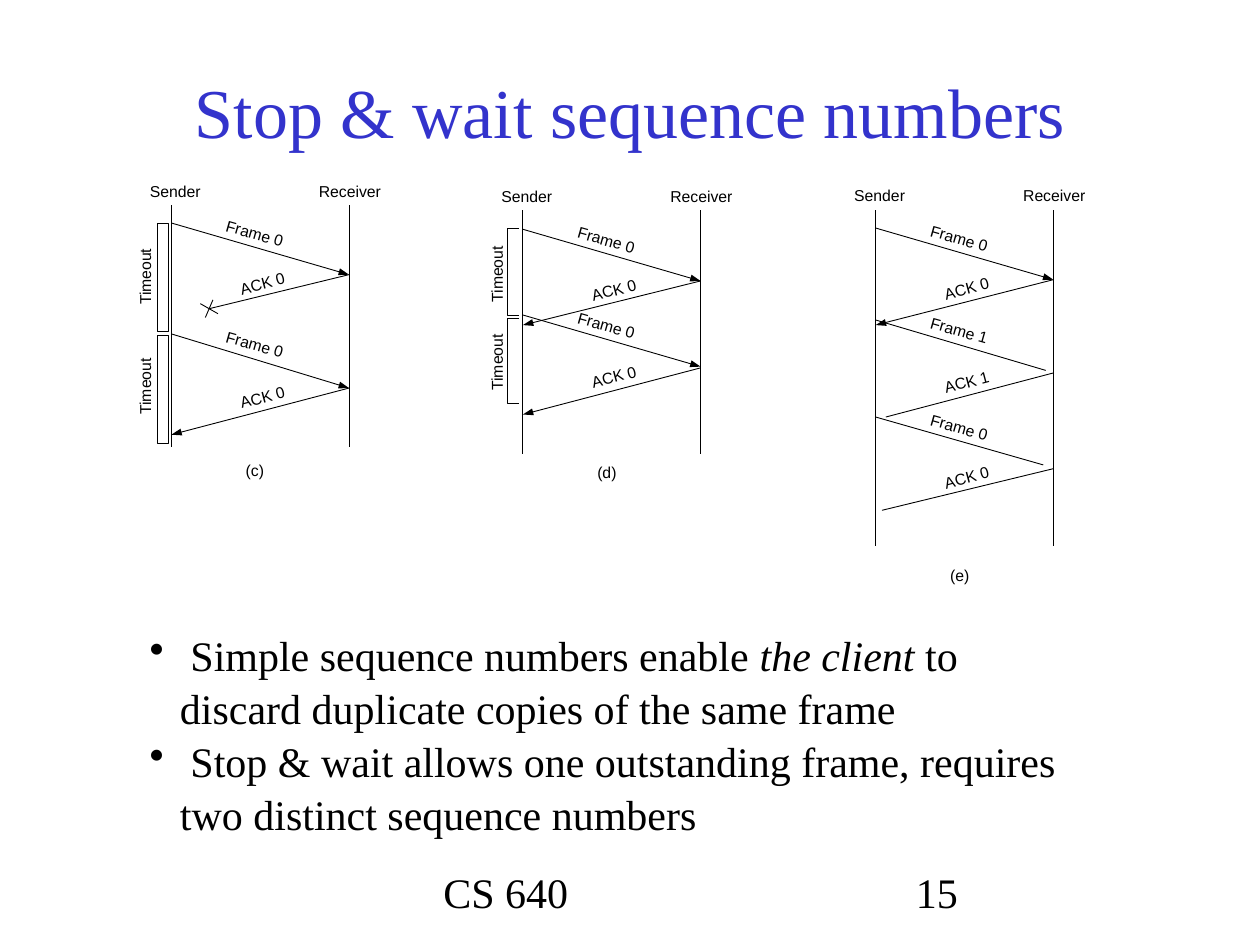
from lxml import etree
from pptx import Presentation
from pptx.dml.color import RGBColor
from pptx.enum.shapes import MSO_CONNECTOR, MSO_SHAPE
from pptx.enum.text import MSO_ANCHOR, MSO_AUTO_SIZE, PP_ALIGN
from pptx.oxml.ns import qn
from pptx.util import Inches, Pt

COLORS = {"title": "3333CC", "ink": "000000"}
SERIF, SANS = "Times New Roman", "Arial"
LINE_WIDTH = Pt(0.5)
LANE_GAP = 1.41
LABEL_HEIGHT = 0.15

presentation = Presentation()
presentation.slide_width, presentation.slide_height = Inches(10), Inches(7.5)
slide = presentation.slides.add_slide(presentation.slide_layouts[6])


def add_text(paragraphs, left, top, width, height=LABEL_HEIGHT, font=SANS, size=9,
             color="ink", rotation=0, align=PP_ALIGN.LEFT, anchor=MSO_ANCHOR.TOP,
             label=True, bullet=False):
    """Add a text box; each paragraph is a list of (text, italic) runs or a string."""
    box = slide.shapes.add_textbox(Inches(left), Inches(top), Inches(width), Inches(height))
    box.rotation = rotation
    frame = box.text_frame
    frame.word_wrap = not label
    frame.vertical_anchor = anchor
    if label:
        frame.auto_size = MSO_AUTO_SIZE.SHAPE_TO_FIT_TEXT
        frame.margin_left = frame.margin_right = frame.margin_top = frame.margin_bottom = 0
    if isinstance(paragraphs, str):
        paragraphs = [[(paragraphs, False)]]
    for index, runs in enumerate(paragraphs):
        paragraph = frame.add_paragraph() if index else frame.paragraphs[0]
        paragraph.alignment = align
        if bullet:
            paragraph.line_spacing = 1.05
            properties = paragraph._p.get_or_add_pPr()
            properties.set("marL", str(Inches(0.24)))
            properties.set("indent", str(-Inches(0.24)))
            etree.SubElement(properties, qn("a:buChar"), char="•")
        for text, italic in runs:
            run = paragraph.add_run()
            run.text = text
            run.font.name, run.font.size, run.font.italic = font, Pt(size), italic
            run.font.color.rgb = RGBColor.from_string(COLORS[color])


def add_line(start_x, start_y, end_x, end_y, arrow=False):
    line = slide.shapes.add_connector(MSO_CONNECTOR.STRAIGHT, Inches(start_x), Inches(start_y),
                                      Inches(end_x), Inches(end_y))
    line.line.color.rgb = RGBColor.from_string(COLORS["ink"])
    line.line.width = LINE_WIDTH
    if arrow:
        etree.SubElement(line.line._get_or_add_ln(), qn("a:tailEnd"),
                         type="triangle", w="sm", len="med")
    etree.SubElement(line._element.spPr, qn("a:effectLst"))


# Title
add_text("Stop & wait sequence numbers", 0.75, 0.25, 8.5, 1.25, font=SERIF, size=40,
         color="title", align=PP_ALIGN.CENTER, anchor=MSO_ANCHOR.MIDDLE, label=False)

# Sequence diagrams: messages are (label, start y, end y, gap before the far lane);
# a message without a gap reaches the lane and carries an arrowhead
diagrams = [
    {"caption": "(c)", "caption_y": 3.66, "sender_x": 1.36, "header_y": 1.44,
     "lane": (1.63, 3.55), "messages": [
         ("Frame 0", 1.77, 2.18, 0), ("ACK 0", 2.18, 2.45, 0.3),
         ("Frame 0", 2.65, 3.08, 0), ("ACK 0", 3.08, 3.45, 0)]},
    {"caption": "(d)", "caption_y": 3.67, "sender_x": 4.15, "header_y": 1.48,
     "lane": (1.67, 3.6), "messages": [
         ("Frame 0", 1.82, 2.23, 0), ("ACK 0", 2.23, 2.58, 0),
         ("Frame 0", 2.5, 2.91, 0), ("ACK 0", 2.92, 3.29, 0)]},
    {"caption": "(e)", "caption_y": 4.49, "sender_x": 6.95, "header_y": 1.47,
     "lane": (1.67, 4.33), "messages": [
         ("Frame 0", 1.81, 2.22, 0), ("ACK 0", 2.22, 2.58, 0),
         ("Frame 1", 2.54, 2.94, 0.06), ("ACK 1", 2.96, 3.31, 0.08),
         ("Frame 0", 3.31, 3.69, 0.08), ("ACK 0", 3.72, 4.05, 0.05)]},
]
for diagram in diagrams:
    sender_x = diagram["sender_x"]
    receiver_x = sender_x + LANE_GAP
    add_text("Sender", sender_x - 0.17, diagram["header_y"], 0.43)
    add_text("Receiver", sender_x + 1.17, diagram["header_y"], 0.52)
    add_text(diagram["caption"], sender_x + 0.59, diagram["caption_y"], 0.18)
    for lane_x in (sender_x, receiver_x):
        add_line(lane_x, diagram["lane"][0], lane_x, diagram["lane"][1])
    for label, start_y, end_y, gap in diagram["messages"]:
        if label.startswith("Frame"):
            add_line(sender_x, start_y, receiver_x - gap, end_y, arrow=not gap)
            add_text(label, sender_x + 0.43, start_y + 0.01, 0.49, rotation=16)
        else:
            add_line(receiver_x, start_y, sender_x + gap, end_y, arrow=not gap)
            add_text(label, sender_x + 0.54, start_y - 0.01, 0.39, rotation=345)

# Cross on the lost acknowledgement
add_line(1.59, 2.41, 1.73, 2.49)
add_line(1.69, 2.38, 1.63, 2.52)

# Timeout bars: closed in (c), open brackets in (d)
for top in (1.77, 2.66):
    bar = slide.shapes.add_shape(MSO_SHAPE.RECTANGLE, Inches(1.25), Inches(top),
                                 Inches(0.09), Inches(0.86))
    bar.shadow.inherit = False
    bar.fill.background()
    bar.line.color.rgb = RGBColor.from_string(COLORS["ink"])
    bar.line.width = LINE_WIDTH
for top, bottom in ((1.81, 2.5), (2.53, 3.2)):
    builder = slide.shapes.build_freeform(Inches(4.12), Inches(top))
    builder.add_line_segments([(Inches(4.03), Inches(top)), (Inches(4.03), Inches(bottom)),
                               (Inches(4.12), Inches(bottom))], close=False)
    bracket = builder.convert_to_shape()
    bracket.shadow.inherit = False
    bracket.fill.background()
    bracket.line.color.rgb = RGBColor.from_string(COLORS["ink"])
    bracket.line.width = LINE_WIDTH
for center_x, center_y in ((1.15, 2.18), (1.15, 3.05), (3.94, 2.16), (3.94, 2.86)):
    add_text("Timeout", center_x - 0.24, center_y - LABEL_HEIGHT / 2, 0.48, rotation=270)

# Conclusions
add_text([
    [(" Simple sequence numbers enable ", False), ("the client", True),
     (" to discard duplicate copies of the same frame", False)],
    [(" Stop & wait allows one outstanding frame, requires two distinct sequence numbers", False)],
], 1.09, 4.93, 7.4, 1.7, font=SERIF, size=24, label=False, bullet=True)

# Footer
add_text("CS 640", 3.42, 6.83, 3.17, 0.5, font=SERIF, size=24, label=False)
add_text("15", 7.17, 6.83, 2.08, 0.5, font=SERIF, size=24, label=False)

presentation.save("out.pptx")
